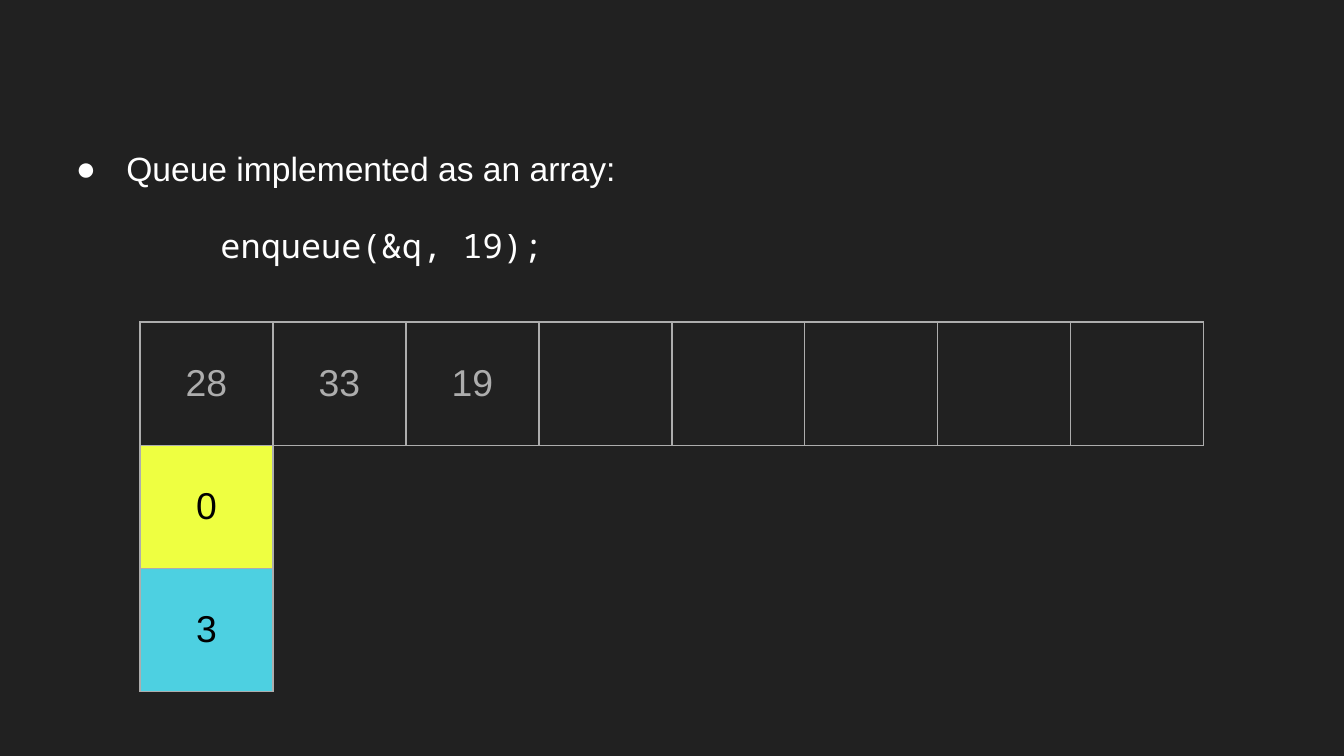
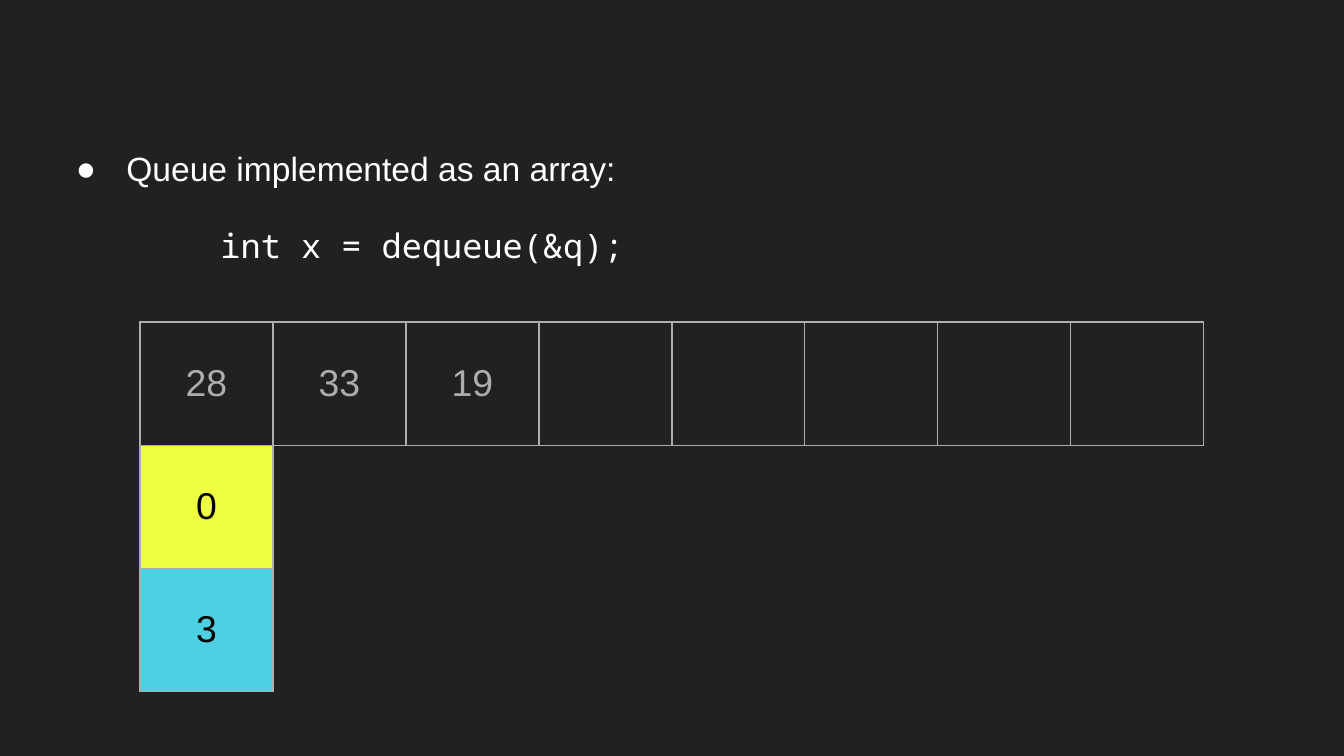
from typing import Any, NamedTuple

from lxml import etree
from pptx import Presentation
from pptx.dml.color import RGBColor
from pptx.enum import text as tx
from pptx.oxml import ns
from pptx.util import Pt

BACK, WHITE, GREY, BLACK = "212121", "FFFFFF", "ADADAD", "000000"
YELLOW, CYAN = "EEFF41", "4DD0E1"
SANS, MONO = "Arial", "Noto Sans Mono"
PLAIN = "{2D5ABB26-0587-4C30-8999-92F81FD0307C}"  # table style without grid
COLS, ROWS = 8, 3
WIDE, HIGH = 71.25, 66
SIDES = {"L": (0, -1), "R": (0, 1), "T": (-1, 0), "B": (1, 0)}
INSET = {f"margin_{side}": Pt(7.2) for side in ("left", "top", "right", "bottom")}
FRAME = INSET | {"word_wrap": True, "auto_size": tx.MSO_AUTO_SIZE.NONE,
                 "vertical_anchor": tx.MSO_ANCHOR.TOP}
CELL = INSET | {"vertical_anchor": tx.MSO_ANCHOR.MIDDLE}


class Line(NamedTuple):
    words: str
    face: str
    left: float = 0
    hang: float = 0
    above: float = 0
    mark: str = ""


class Queue(NamedTuple):
    call: str
    items: tuple[int, ...]
    front: int
    size: int


STATES = [
    Queue("enqueue(&q, 19);", (28, 33, 19), 0, 3),
    Queue("int x = dequeue(&q);", (28, 33, 19), 0, 3),
]


def tint(code: str) -> RGBColor:
    return RGBColor.from_string(code)


def apply(thing: Any, values: dict[str, Any]) -> None:
    for name, value in values.items():
        setattr(thing, name, value)


def add(node: Any, tag: str, **attrs: str) -> Any:
    return etree.SubElement(node, ns.qn(tag), attrs)


def style(font: Any, face: str, size: float, code: str) -> None:
    apply(font, {"name": face, "size": Pt(size)})
    font.color.rgb = tint(code)


def write(para: Any, line: Line) -> None:
    props = para._p.get_or_add_pPr()
    props.set("marL", str(Pt(line.left)))
    props.set("indent", str(Pt(line.hang)))
    if line.mark:
        add(add(props, "a:buClr"), "a:srgbClr", val=WHITE)
        add(props, "a:buFont", typeface=SANS)
        add(props, "a:buChar", char=line.mark)
    else:
        add(props, "a:buNone")
    apply(para, {"line_spacing": 1.15, "space_before": Pt(line.above)})
    run = para.add_run()
    run.text = line.words
    style(run.font, line.face, 18, WHITE)


def fill_body(body: Any, call: str) -> None:
    apply(body, {"left": Pt(24.5), "top": Pt(69), "width": Pt(671), "height": Pt(323)})
    frame = body.text_frame
    apply(frame, FRAME)
    write(frame.paragraphs[0],
          Line("Queue implemented as an array:", SANS, 36, -27, mark="●"))
    write(frame.add_paragraph(), Line("        " + call, MONO, above=16))


def used(row: int, col: int) -> bool:
    """Tell whether a grid place is an array slot or a front/size cell."""
    return row == 0 <= col < COLS or (col == 0 and 0 < row < ROWS)


def edge(cell: Any, row: int, col: int) -> None:
    """Rule each side that touches a used cell."""
    props = cell._tc.get_or_add_tcPr()
    for side, (down, right) in SIDES.items():
        rule = add(props, f"a:ln{side}", w=str(Pt(0.75)))
        if used(row, col) or used(row + down, col + right):
            add(add(rule, "a:solidFill"), "a:srgbClr", val=GREY)
        else:
            add(rule, "a:noFill")


def draw_grid(slide: Any, queue: Queue) -> None:
    shape = slide.shapes.add_table(ROWS, COLS, Pt(75), Pt(172.5),
                                   Pt(COLS * WIDE), Pt(ROWS * HIGH))
    grid = shape.table
    apply(grid, {"first_row": False, "horz_banding": False})
    grid._tbl.tblPr.find(ns.qn("a:tableStyleId")).text = PLAIN
    values = {(0, col): item for col, item in enumerate(queue.items)}
    values |= {(1, 0): queue.front, (2, 0): queue.size}
    fills = {(1, 0): YELLOW, (2, 0): CYAN}
    for row in range(ROWS):
        for col in range(COLS):
            cell, spot = grid.cell(row, col), (row, col)
            apply(cell, CELL)
            edge(cell, row, col)
            if spot in fills:
                cell.fill.solid()
                cell.fill.fore_color.rgb = tint(fills[spot])
            else:
                cell.fill.background()
            if spot in values:
                para = cell.text_frame.paragraphs[0]
                para.alignment = tx.PP_ALIGN.CENTER
                run = para.add_run()
                run.text = str(values[spot])
                style(run.font, SANS, 20, BLACK if spot in fills else GREY)


def main() -> None:
    deck = Presentation()
    apply(deck, {"slide_width": Pt(720), "slide_height": Pt(405)})
    back = deck.slide_master.background.fill
    back.solid()
    back.fore_color.rgb = tint(BACK)
    for queue in STATES:
        slide = deck.slides.add_slide(deck.slide_layouts[1])
        title = slide.shapes.title._element
        title.getparent().remove(title)
        fill_body(slide.placeholders[1], queue.call)
        draw_grid(slide, queue)
    deck.save("out.pptx")


if __name__ == "__main__":
    main()
